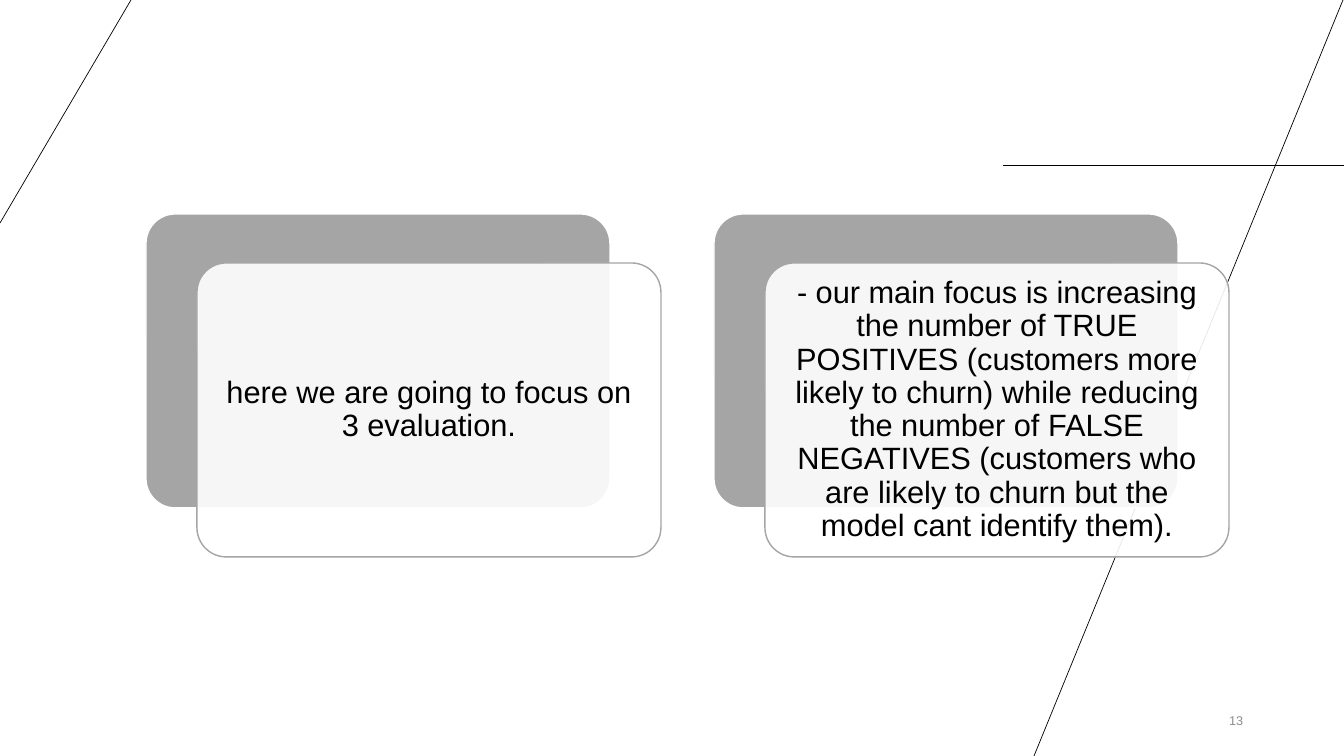
from lxml.etree import SubElement
from pptx import Presentation
from pptx.dml.color import RGBColor
from pptx.enum.shapes import MSO_CONNECTOR, MSO_SHAPE
from pptx.enum.text import MSO_ANCHOR, PP_ALIGN
from pptx.oxml.ns import qn
from pptx.util import Emu, Pt

WIDTH, HEIGHT = 1344, 756
BLACK, WHITE, GREY, PALE_GREY = "000000", "FFFFFF", "A5A5A5", "8C8C8C"
CARD_TEXTS = [
    "here we are going to focus on 3 evaluation.",
    "- our main focus is increasing the number of TRUE POSITIVES "
    "(customers more likely to churn) while reducing the number of FALSE "
    "NEGATIVES (customers who are likely to churn but the model cant "
    "identify them).",
]


def px(n):
    return Emu(round(n * 914400 / 100.8))


def color(value):
    return RGBColor.from_string(value)


def write(sp, text, size, fill=BLACK, align=PP_ALIGN.CENTER, spacing=1.0, inset=9):
    tf = sp.text_frame
    tf.word_wrap = True
    tf.vertical_anchor = MSO_ANCHOR.MIDDLE
    tf.margin_left = tf.margin_right = tf.margin_top = tf.margin_bottom = px(inset)
    p = tf.paragraphs[0]
    p.alignment = align
    p.line_spacing = spacing
    r = p.add_run()
    r.text = text
    r.font.name = "Arial"
    r.font.size = Pt(size)
    r.font.color.rgb = color(fill)


def add_line(s, x1, y1, x2, y2):
    line = s.shapes.add_connector(MSO_CONNECTOR.STRAIGHT, px(x1), px(y1), px(x2), px(y2))
    line.line.color.rgb = color(BLACK)
    line.line.width = Pt(0.5)
    SubElement(line._element.spPr, qn("a:effectLst"))


def add_panel(s, x, y, w, h, fill, outline, opacity=100):
    sp = s.shapes.add_shape(MSO_SHAPE.ROUNDED_RECTANGLE, px(x), px(y), px(w), px(h))
    sp.adjustments[0] = 0.1
    sp.shadow.inherit = False
    sp.fill.solid()
    sp.fill.fore_color.rgb = color(fill)
    if opacity < 100:
        rgb = sp._element.spPr.find(qn("a:solidFill")).find(qn("a:srgbClr"))
        SubElement(rgb, qn("a:alpha"), val=str(opacity * 1000))
    sp.line.color.rgb = color(outline)
    sp.line.width = Pt(1)
    return sp


def add_background_lines(s):
    add_line(s, 1003, 165, WIDTH, 165)
    add_line(s, WIDTH - 1, 0, 1034, HEIGHT)
    add_line(s, 0, 223, 131, 0)


def add_page_number(s, x, y, w, h):
    sp = s.shapes.add_textbox(px(x), px(y), px(w), px(h))
    write(sp, "13", 9, fill=PALE_GREY, align=PP_ALIGN.RIGHT)


def add_card(s, x, y, w, h, text):
    # Grey panel with a translucent text panel offset over it
    add_panel(s, x, y, w, h, GREY, WHITE)
    front = add_panel(s, x + 51, y + 49, w, h, WHITE, GREY, opacity=90)
    write(front, text, 22, spacing=0.9)


def main():
    prs = Presentation()
    prs.slide_width, prs.slide_height = px(WIDTH), px(HEIGHT)
    s = prs.slides.add_slide(prs.slide_layouts[6])

    # Background and footer
    add_background_lines(s)
    add_page_number(s, 1143, 701, 109, 40)

    # Two evaluation cards
    for i, text in enumerate(CARD_TEXTS):
        add_card(s, 146 + 568 * i, 214, 464, 294, text)

    prs.save("out.pptx")


if __name__ == "__main__":
    main()
